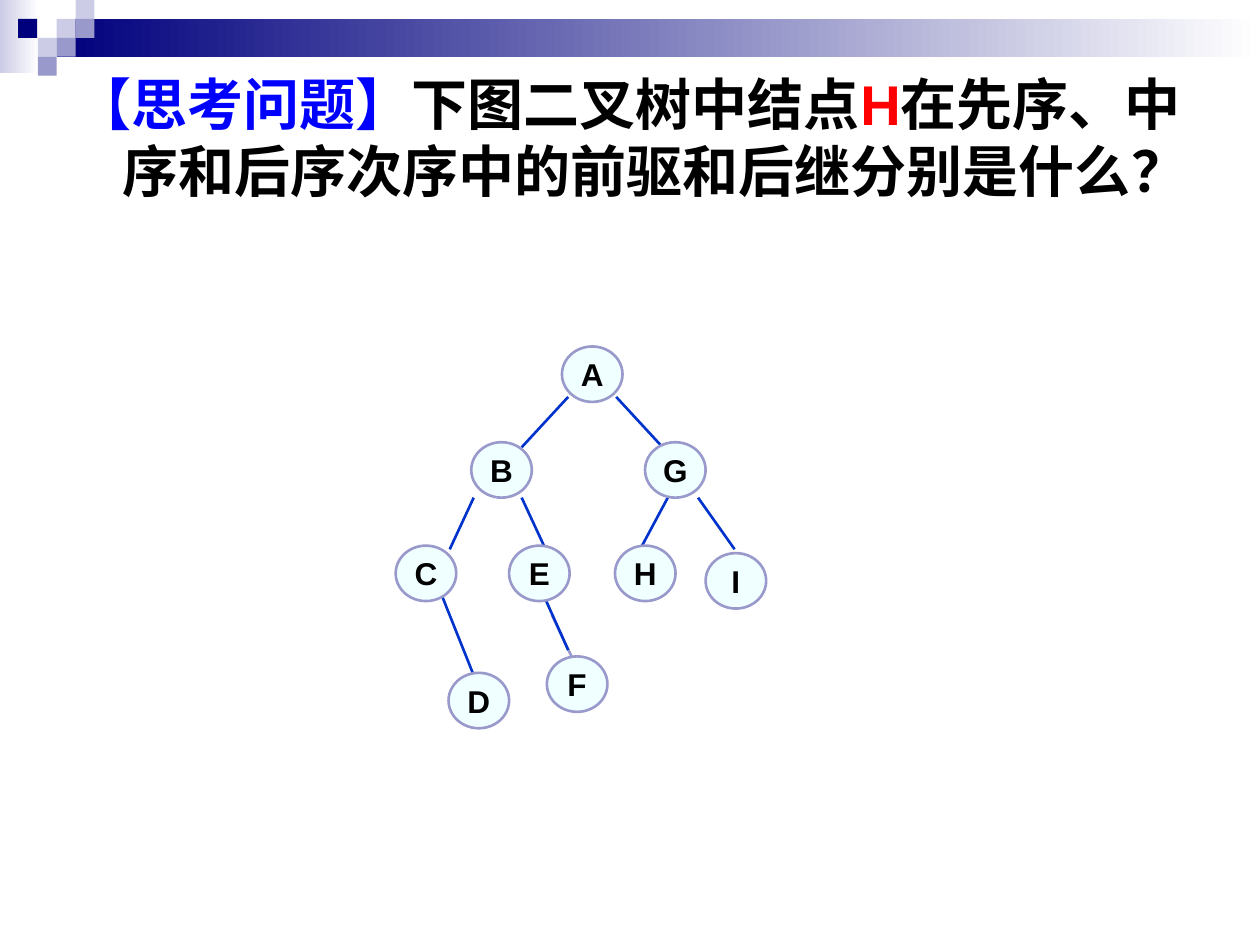
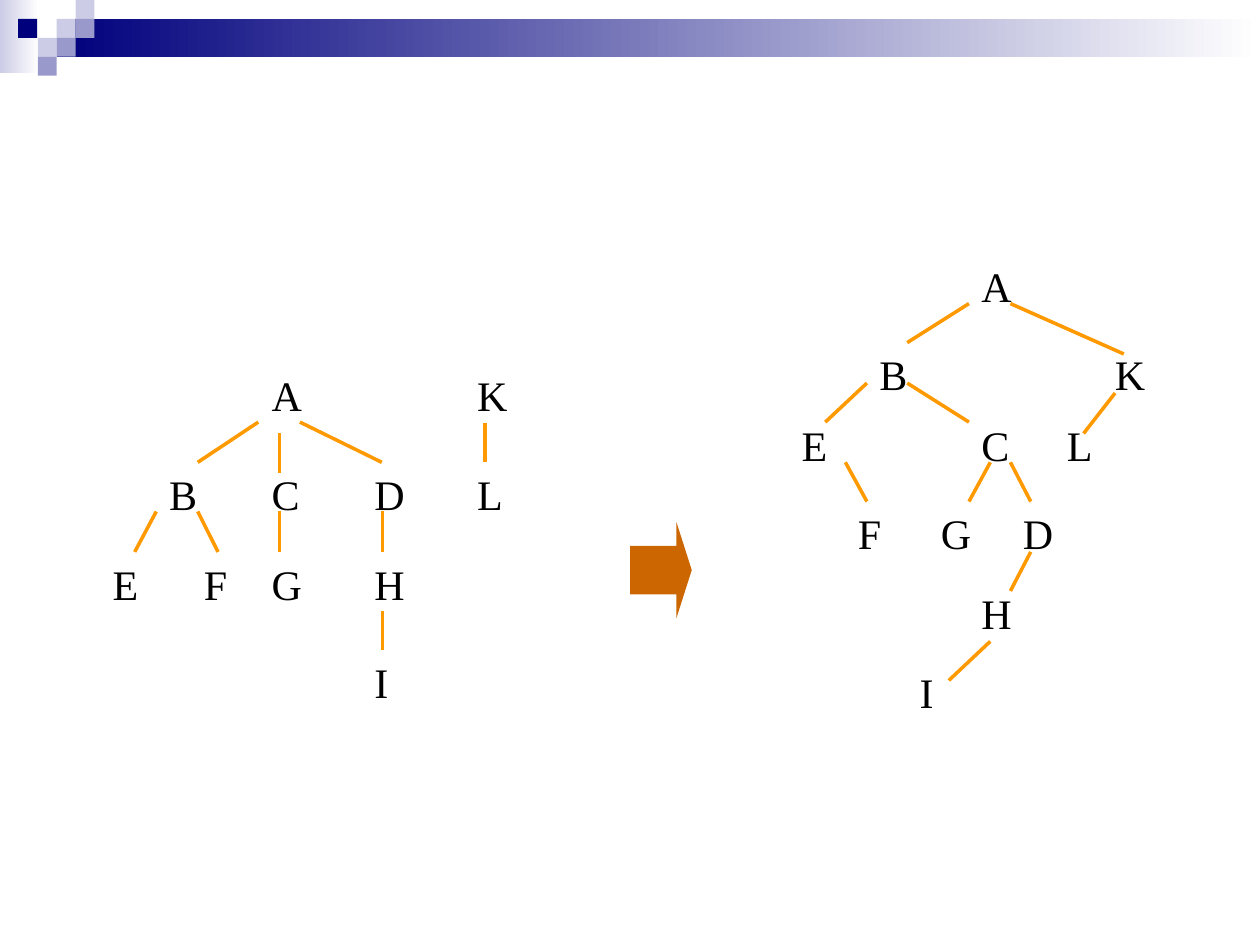
from lxml import etree
from pptx import Presentation
from pptx.dml.color import RGBColor
from pptx.enum import shapes, text
from pptx.oxml.ns import qn
from pptx.util import Pt

NAVY = RGBColor(0x00, 0x00, 0x7D)
LAVENDER = RGBColor(0xCC, 0xCC, 0xE6)
PERIWINKLE = RGBColor(0x99, 0x99, 0xCC)
WHITE = RGBColor(0xFF, 0xFF, 0xFF)
BLACK = RGBColor(0x00, 0x00, 0x00)
BLUE = RGBColor(0x00, 0x00, 0xFF)
RED = RGBColor(0xFF, 0x00, 0x00)
NODE_FILL = RGBColor(0xF0, 0xFF, 0xFF)
EDGE_BLUE = RGBColor(0x00, 0x33, 0xCC)
EDGE_ORANGE = RGBColor(0xFF, 0x99, 0x00)
ARROW_BROWN = RGBColor(0xCC, 0x66, 0x00)

LEFT, CENTER = text.PP_ALIGN.LEFT, text.PP_ALIGN.CENTER


def write_text(shape, runs, font="Arial", size=18, bold=False, align=LEFT,
               anchor=text.MSO_ANCHOR.TOP, wrap=True, hanging=0):
    """Fill a shape with one paragraph made of (wording, colour) runs."""
    frame = shape.text_frame
    frame.word_wrap = wrap
    frame.vertical_anchor = anchor
    paragraph = frame.paragraphs[0]
    paragraph.alignment = align
    if hanging:
        properties = paragraph._p.get_or_add_pPr()
        properties.set("marL", str(Pt(hanging)))
        properties.set("indent", str(-Pt(hanging)))
    for wording, colour in runs:
        run = paragraph.add_run()
        run.text = wording
        run.font.name = font
        run.font.size = Pt(size)
        run.font.bold = bold
        run.font.color.rgb = colour


def draw_edge(slide, ends, colour, width):
    edge = slide.shapes.add_connector(
        shapes.MSO_CONNECTOR.STRAIGHT, *[Pt(end) for end in ends])
    edge.line.color.rgb = colour
    edge.line.width = Pt(width)
    etree.SubElement(edge._element.spPr, qn("a:effectLst"))


prs = Presentation()
prs.slide_width, prs.slide_height = Pt(720), Pt(540)
question, conversion = [prs.slides.add_slide(prs.slide_layouts[6])
                        for _ in range(2)]

# Header band: left, top, width, height, colour, whether it fades to white
TILE = 10.8
header_parts = [
    (0, 0, 22.3, 41.8, LAVENDER, True),
    (32.4, TILE, 687.6, 21.6, NAVY, True),
    (32.4, TILE, TILE, TILE, LAVENDER, False),
    (43.2, 0, TILE, TILE, LAVENDER, False),
    (43.2, TILE, TILE, TILE, PERIWINKLE, False),
    (21.6, 21.6, TILE, TILE, LAVENDER, False),
    (10.4, TILE, TILE, TILE, NAVY, False),
    (32.4, 21.6, TILE, TILE, PERIWINKLE, False),
    (21.6, 32.4, TILE, TILE, PERIWINKLE, False),
]
for slide in (question, conversion):
    for *box, colour, fades in header_parts:
        part = slide.shapes.add_shape(
            shapes.MSO_SHAPE.RECTANGLE, *[Pt(length) for length in box])
        part.shadow.inherit = False
        part.line.fill.background()
        if fades:
            part.fill.gradient()
            part.fill.gradient_angle = 0
            for stop, shade in zip(part.fill.gradient_stops, (colour, WHITE)):
                stop.color.rgb = shade
        else:
            part.fill.solid()
            part.fill.fore_color.rgb = colour

# Slide 1: the question and its binary tree
prompt = question.shapes.add_textbox(Pt(36), Pt(36), Pt(648), Pt(504))
write_text(prompt, [("【思考问题】", BLUE),
                    ("下图二叉树中结点", BLACK),
                    ("H", RED),
                    ("在先序、中序和后序次序中的前驱和后继分别是什么？", BLACK)],
           size=32, bold=True, hanging=27)

draw_edge(question, (315.4, 351.4, 329, 380.2), PERIWINKLE, 1.5)
binary_edges = [
    (324.7, 226.8, 298.1, 255.6), (352.1, 226.8, 378.7, 255.6),
    (270.7, 284.4, 257, 313.9), (298.1, 284.4, 311.8, 313.9),
    (398.9, 284.4, 419.8, 313.9), (381.6, 284.4, 365.8, 313.9),
    (252, 339.1, 270.7, 385.9), (311.8, 342.7, 324.7, 371.5),
]
for ends in binary_edges:
    draw_edge(question, ends, EDGE_BLUE, 1.5)

binary_nodes = {
    "A": (321.1, 198), "B": (269.3, 252.7), "C": (226.1, 311.8),
    "E": (290.9, 311.8), "D": (256.3, 384.5), "F": (312.5, 375.1),
    "G": (368.6, 252.7), "H": (351.4, 311.8), "I": (403.2, 316.1),
}
for letter, (left, top) in binary_nodes.items():
    node = question.shapes.add_shape(
        shapes.MSO_SHAPE.OVAL, Pt(left), Pt(top), Pt(34.6), Pt(31.7))
    node.shadow.inherit = False
    node.fill.solid()
    node.fill.fore_color.rgb = NODE_FILL
    node.line.color.rgb = PERIWINKLE
    node.line.width = Pt(1.5)
    write_text(node, [(letter, BLACK)], bold=True, align=CENTER,
               anchor=text.MSO_ANCHOR.MIDDLE, wrap=False)

# Slide 2: a forest on the left becomes a binary tree on the right
# Each level: top of the row, then the left of every letter in it
column_b, column_c, column_d, column_k = [89.5 + 58.7 * i for i in range(4)]
forest_levels = [
    (207.4, {"A": column_c, "K": column_k}),
    (264.2, {"B": column_b, "C": column_c, "D": column_d, "L": column_k}),
    (315.4, {"E": 54, "F": 109.4, "G": column_c, "H": column_d}),
    (371.5, {"I": column_d}),
]
converted_levels = [
    (145.4, {"A": 553.7}),
    (195.8, {"B": 495.4, "K": 630}),
    (236.2, {"E": 447.8, "C": 553.7, "L": 602.6}),
    (286.6, {"F": 483.1, "G": 530.6, "D": 577.4}),
    (331.9, {"H": 553.7}),
    (377.3, {"I": 518.4}),
]
for top, letters in forest_levels + converted_levels:
    for letter, left in letters.items():
        label = conversion.shapes.add_textbox(
            Pt(left), Pt(top), Pt(35.3), Pt(34))
        write_text(label, [(letter, BLACK)], font="Times New Roman", size=24,
                   align=CENTER if letter == "E" else LEFT)

forest_edges = [
    (147.6, 241.2, 113, 264.2), (171.4, 241.2, 218.2, 264.2),
    (159.8, 247.7, 159.8, 270), (277.2, 241.9, 277.2, 264.2),
    (89.3, 292.3, 77, 315.4), (113, 292.3, 124.6, 315.4),
    (159.8, 292.3, 159.8, 315.4), (218.5, 292.3, 218.5, 315.4),
    (218.5, 349.2, 218.5, 371.5),
]
converted_edges = [
    (553.7, 173.5, 518.4, 195.8), (577.4, 173.5, 642.2, 202.3),
    (495.4, 218.9, 471.6, 241.2), (518.4, 218.9, 553.7, 241.2),
    (637.2, 224.6, 619.2, 247.7), (483.1, 264.2, 495.4, 286.6),
    (565.9, 264.2, 553.7, 286.6), (577.4, 264.2, 589, 286.6),
    (589, 315.4, 577.4, 337.7), (565.9, 366.5, 542.2, 388.8),
]
for ends in forest_edges + converted_edges:
    draw_edge(conversion, ends, EDGE_ORANGE, 2)

becomes = conversion.shapes.add_shape(
    shapes.MSO_SHAPE.RIGHT_ARROW, Pt(360), Pt(298.1), Pt(35.3), Pt(55.4))
becomes.adjustments[0], becomes.adjustments[1] = 0.5, 0.25
becomes.shadow.inherit = False
becomes.fill.solid()
becomes.fill.fore_color.rgb = ARROW_BROWN
becomes.line.fill.background()

prs.save("out.pptx")
